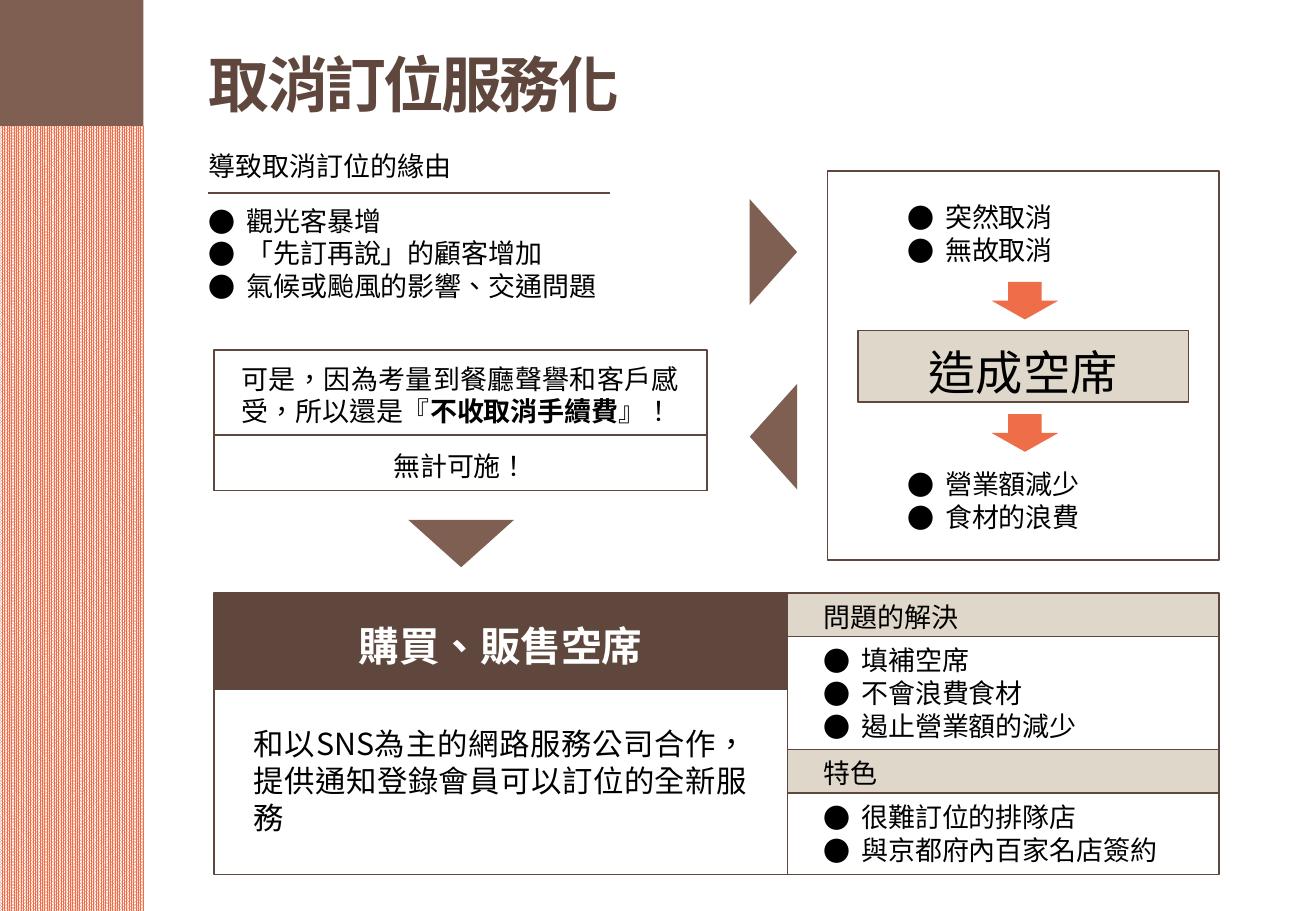
from dataclasses import dataclass

from lxml import etree
from pptx import Presentation
from pptx.dml.color import RGBColor
from pptx.enum.dml import MSO_PATTERN
from pptx.enum.shapes import MSO_CONNECTOR, MSO_SHAPE
from pptx.enum.text import PP_ALIGN
from pptx.oxml.ns import qn
from pptx.util import Inches, Pt


@dataclass(frozen=True)
class Theme:
    font: str = "Noto Sans CJK SC"
    dark: str = "5F473E"
    brown: str = "7F5F52"
    orange: str = "EE6E4A"
    beige: str = "E0D7CB"
    black: str = "000000"
    white: str = "FFFFFF"
    title: int = 36
    impact: int = 28
    banner: int = 24
    lead: int = 18
    body: int = 16
    line_height: float = 1.21
    border: float = 1
    bullet_indent: float = 0.31


class SlideBuilder:
    def __init__(self, slide, theme):
        self.slide, self.theme = slide, theme

    def shape(self, kind, box, fill=None, border=False, rotation=0):
        item = self.slide.shapes.add_shape(kind, *map(Inches, box))
        item.shadow.inherit = False
        item.rotation = rotation
        if fill:
            item.fill.solid()
            item.fill.fore_color.rgb = RGBColor.from_string(fill)
        else:
            item.fill.background()
        if border:
            item.line.color.rgb = RGBColor.from_string(self.theme.dark)
            item.line.width = Pt(self.theme.border)
        else:
            item.line.fill.background()
        return item

    def panel(self, box, fill=None):
        return self.shape(MSO_SHAPE.RECTANGLE, box, fill, border=True)

    def striped(self, box, color):
        item = self.shape(MSO_SHAPE.RECTANGLE, box)
        item.fill.patterned()
        item.fill.pattern = MSO_PATTERN.PERCENT_90
        item.fill.fore_color.rgb = RGBColor.from_string(color)
        item.fill.back_color.rgb = RGBColor.from_string(self.theme.white)

    def rule(self, left, right, y):
        line = self.slide.shapes.add_connector(
            MSO_CONNECTOR.STRAIGHT, Inches(left), Inches(y), Inches(right), Inches(y))
        line.line.color.rgb = RGBColor.from_string(self.theme.dark)
        line.line.width = Pt(self.theme.border)
        etree.SubElement(line._element.spPr, qn("a:effectLst"))

    def text(self, box, paragraphs, size=None, color=None, bold=False,
             align=PP_ALIGN.JUSTIFY, bullets=False, spacing=None):
        """Each paragraph is a string or a list of (text, bold) runs."""
        size = size or self.theme.body
        frame = self.slide.shapes.add_textbox(*map(Inches, box)).text_frame
        frame.word_wrap = True
        for index, content in enumerate(paragraphs):
            paragraph = frame.paragraphs[0] if index == 0 else frame.add_paragraph()
            paragraph.alignment = align
            paragraph.line_spacing = Pt(size * self.theme.line_height)
            if bullets:
                self.bullet(paragraph)
            runs = [(content, bold)] if isinstance(content, str) else content
            for words, strong in runs:
                run = paragraph.add_run()
                run.text = words
                run.font.size, run.font.bold, run.font.name = Pt(size), strong, self.theme.font
                run.font.color.rgb = RGBColor.from_string(color or self.theme.black)
                props = run.font._element
                props.set("lang", "zh-TW")
                if spacing:
                    props.set("spc", str(int(spacing * 100)))
                etree.SubElement(props, qn("a:ea"), typeface=self.theme.font)

    def bullet(self, paragraph):
        props = paragraph._p.get_or_add_pPr()
        indent = Inches(self.theme.bullet_indent)
        props.set("marL", str(indent))
        props.set("indent", str(-indent))
        etree.SubElement(props, qn("a:buFont"), typeface=self.theme.font)
        etree.SubElement(props, qn("a:buChar"), char="●")


theme = Theme()
deck = Presentation()
deck.slide_width, deck.slide_height = Inches(10.83), Inches(7.5)
page = SlideBuilder(deck.slides.add_slide(deck.slide_layouts[6]), theme)

# Side band and title
page.shape(MSO_SHAPE.RECTANGLE, (0, 0, 1.18, 1.04), theme.brown)
page.striped((0, 1.04, 1.18, 6.46), theme.orange)
page.text((1.62, 0.33, 7.59, 0.71), ["取消訂位服務化"], theme.title, theme.dark,
          bold=True, align=PP_ALIGN.LEFT, spacing=-1.5)

# Reasons for cancelling
page.text((1.62, 1.18, 3.58, 0.37), ["導致取消訂位的緣由"])
page.rule(1.71, 5.02, 1.59)
page.text((1.62, 1.63, 3.58, 0.91),
          ["觀光客暴增", "「先訂再說」的顧客增加", "氣候或颱風的影響、交通問題"], bullets=True)

# Consequences: cancellations, empty seats, losses
page.panel((6.81, 1.41, 3.22, 3.2))
page.text((7.37, 1.6, 2.48, 0.64), ["突然取消", "無故取消"], bullets=True)
page.panel((7.06, 2.72, 2.72, 0.59), theme.beige)
page.text((7.18, 2.77, 2.48, 0.57), ["造成空席"], theme.impact, align=PP_ALIGN.CENTER)
page.text((7.37, 3.8, 2.31, 0.64), ["營業額減少", "食材的浪費"], bullets=True)
for arrow_top in (2.32, 3.41):
    page.shape(MSO_SHAPE.DOWN_ARROW, (8.16, arrow_top, 0.55, 0.31), theme.orange)

# The restaurant's dilemma
page.panel((1.76, 2.88, 4.06, 1.16))
page.panel((1.76, 3.58, 4.06, 0.46))
page.text((1.89, 2.93, 3.8, 0.64), [[
    ("可是，因為考量到餐廳聲譽和客戶感受，所以還是『", False),
    ("不收取消手續費", True), ("』！", False)]])
page.text((2.5, 3.65, 2.58, 0.37), ["無計可施！"], align=PP_ALIGN.CENTER)

# Flow triangles between the blocks
for left, top, rotation in ((5.93, 1.88, 90), (5.93, 3.4, 270), (3.36, 4.28, 180)):
    page.shape(MSO_SHAPE.ISOSCELES_TRIANGLE, (left, top, 0.87, 0.39),
               theme.brown, rotation=rotation)

# Proposed service
page.panel((1.76, 5.64, 4.72, 1.56))
page.panel((1.76, 4.88, 4.72, 0.79), theme.dark)
page.text((1.94, 5.06, 4.36, 0.5), ["購買、販售空席"], theme.banner, theme.white,
          bold=True, align=PP_ALIGN.CENTER)
page.text((1.99, 5.92, 4.26, 1.01),
          ["和以SNS為主的網路服務公司合作，提供通知登錄會員可以訂位的全新服務"], theme.lead)

# Benefits: heading strip above each list
HEADING_HEIGHT = 0.36
top = 4.88
for heading, points, list_height in (
        ("問題的解決", ["填補空席", "不會浪費食材", "遏止營業額的減少"], 0.93),
        ("特色", ["很難訂位的排隊店", "與京都府內百家名店簽約"], 0.67)):
    list_top = top + HEADING_HEIGHT
    page.panel((6.48, list_top, 3.55, list_height))
    page.panel((6.48, top, 3.55, HEADING_HEIGHT), theme.beige)
    page.text((6.68, top + 0.01, 2.99, 0.37), [heading])
    page.text((6.68, list_top + 0.01, 2.99, list_height - 0.02), points, bullets=True)
    top = list_top + list_height

deck.save("out.pptx")
